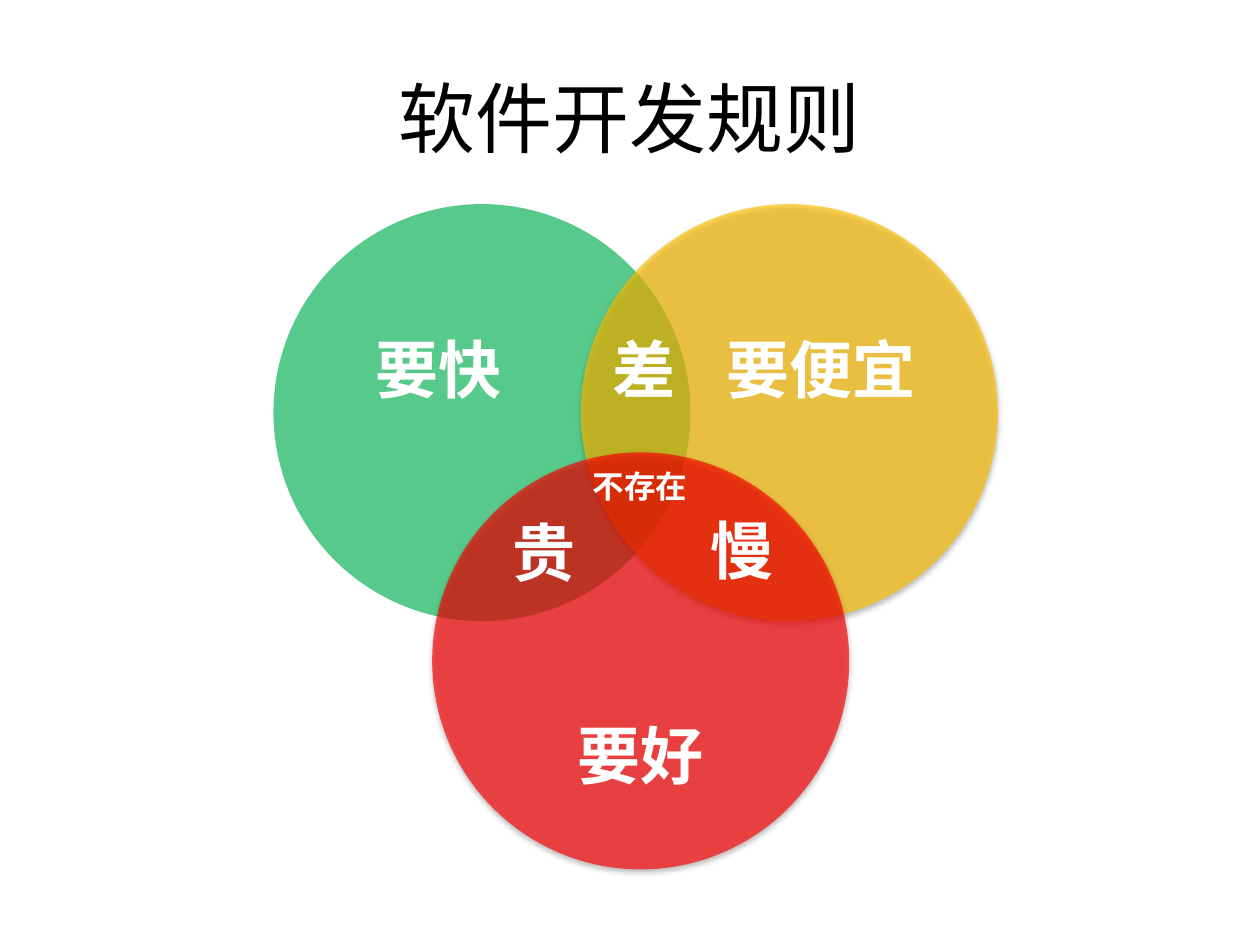
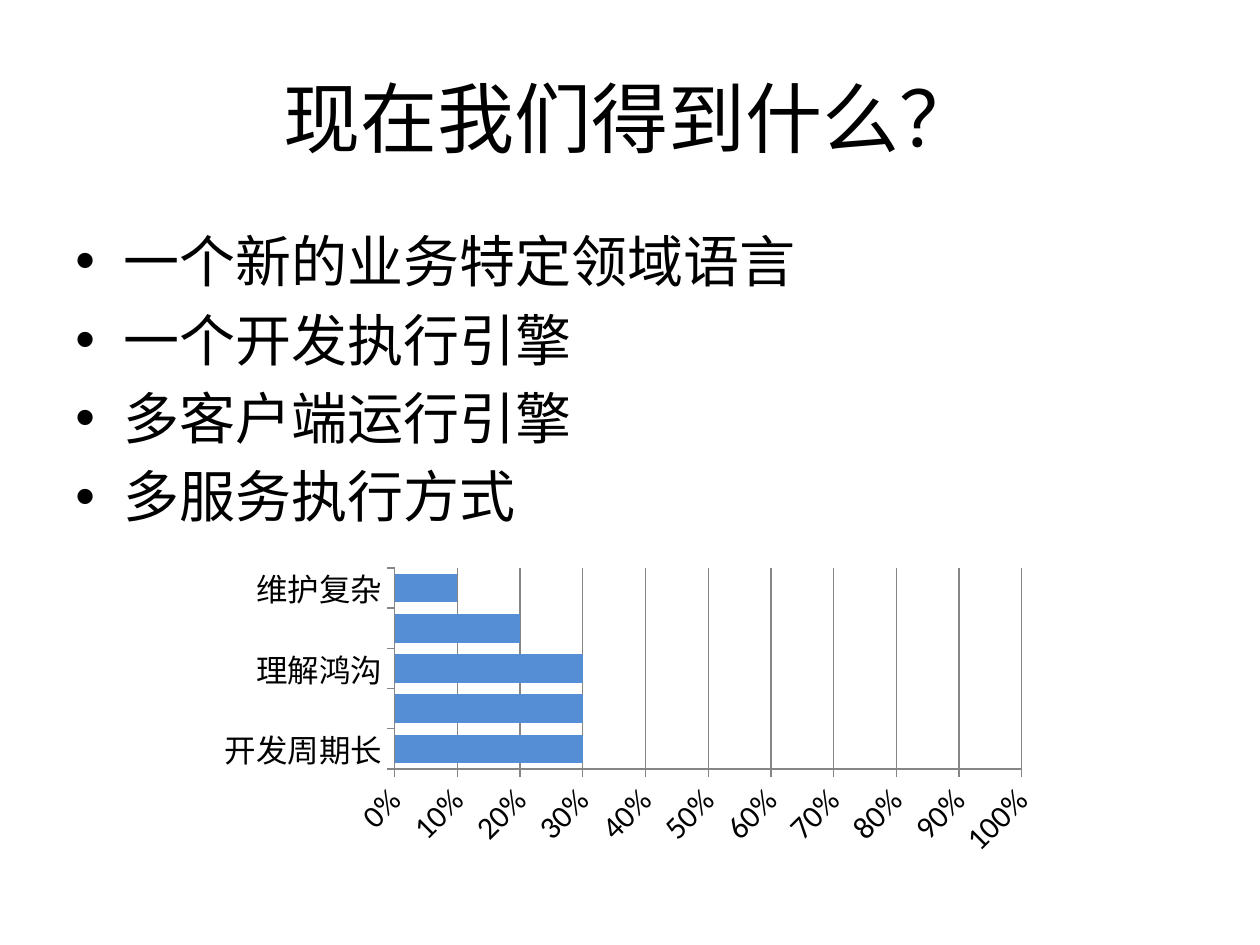
"""Build two slides: the software development rule and what has been gained."""
import dataclasses
import typing

import lxml.etree
import pptx
import pptx.chart.data
import pptx.dml.color
import pptx.enum.chart
import pptx.enum.lang
import pptx.enum.shapes
import pptx.enum.text
import pptx.oxml
import pptx.oxml.ns
import pptx.util

PX = 9144
ALIGN = pptx.enum.text.PP_ALIGN
ANCHOR = pptx.enum.text.MSO_ANCHOR


@dataclasses.dataclass(frozen=True)
class Theme:
    text: str = "000000"
    light: str = "FFFFFF"
    fast: str = "00B050"
    cheap: str = "FFC000"
    good: str = "FF0000"
    bar: str = "558ED5"
    grid: str = "868686"
    opacity: int = 66
    main_font: str = "Calibri"
    label_font: str = "Arial"
    title_pt: int = 44
    label_pt: int = 36
    body_pt: int = 32
    small_pt: int = 18


class Box(typing.NamedTuple):
    left: int
    top: int
    width: int
    height: int


class Label(typing.NamedTuple):
    text: str
    box: Box
    size: int


class Bar(typing.NamedTuple):
    label: str
    percent: int


@dataclasses.dataclass(frozen=True)
class Circle:
    left: int
    top: int
    color: str
    label: Label
    shadow: bool = True


THEME = Theme()
DIAMETER = 331
TITLE_BOX = Box(50, 30, 900, 125)
BODY_BOX = Box(50, 175, 900, 495)
CHART_BOX = Box(165, 446, 670, 240)
BULLET_INDENT = 38

CIRCLES = [
    Circle(217, 162, THEME.fast, Label("要快", Box(283, 257, 130, 71), THEME.label_pt), shadow=False),
    Circle(461, 162, THEME.cheap, Label("要便宜", Box(560, 257, 184, 71), THEME.label_pt)),
    Circle(343, 359, THEME.good, Label("要好", Box(416, 564, 184, 71), THEME.label_pt)),
]
OVERLAPS = [
    Label("贵", Box(382, 403, 100, 71), THEME.label_pt),
    Label("慢", Box(539, 401, 100, 71), THEME.label_pt),
    Label("差", Box(461, 257, 100, 71), THEME.label_pt),
    Label("不存在", Box(458, 366, 100, 40), THEME.small_pt),
]
GAINS = ["一个新的业务特定领域语言", "一个开发执行引擎", "多客户端运行引擎", "多服务执行方式"]
PAIN_LEFT = [Bar("开发周期长", 30), Bar("", 30), Bar("理解鸿沟", 30), Bar("", 20), Bar("维护复杂", 10)]


def emu(box: Box) -> list[int]:
    """Turn a box in px into EMU lengths."""
    return [v * PX for v in box]


def rgb(color: str) -> pptx.dml.color.RGBColor:
    """Return a colour from its hex digits."""
    return pptx.dml.color.RGBColor.from_string(color)


def sub(parent: typing.Any, tag: str, **attrs: typing.Any) -> typing.Any:
    """Append an XML child with attributes."""
    return lxml.etree.SubElement(parent, pptx.oxml.ns.qn(tag), {k: str(v) for k, v in attrs.items()})


def add_bullet(p: typing.Any) -> None:
    """Give a paragraph a round bullet with a hanging indent."""
    pPr = p._p.get_or_add_pPr()
    pPr.set("marL", str(BULLET_INDENT * PX))
    pPr.set("indent", str(-BULLET_INDENT * PX))
    sub(pPr, "a:buFont", typeface=THEME.label_font)
    sub(pPr, "a:buChar", char="•")


def add_text(shapes: typing.Any, box: Box, *lines: str, size: int, font: str = THEME.main_font,
             color: str = THEME.text, bold: bool = False, align: ALIGN = ALIGN.LEFT,
             anchor: ANCHOR = ANCHOR.TOP, bullet: bool = False, grow: bool = False) -> None:
    """Add a wrapped text box with one paragraph for each line."""
    tf = shapes.add_textbox(*emu(box)).text_frame
    tf.word_wrap = True
    tf.vertical_anchor = anchor
    if grow:
        tf.auto_size = pptx.enum.text.MSO_AUTO_SIZE.SHAPE_TO_FIT_TEXT
    for i, line in enumerate(lines):
        p = tf.add_paragraph() if i else tf.paragraphs[0]
        p.alignment = align
        if bullet:
            p.space_before = pptx.util.Pt(size * 0.2)
            add_bullet(p)
        r = p.add_run()
        r.text = line
        r.font.name = font
        r.font.size = pptx.util.Pt(size)
        r.font.bold = bold
        r.font.color.rgb = rgb(color)
        r.font.language_id = pptx.enum.lang.MSO_LANGUAGE_ID.SIMPLIFIED_CHINESE


def add_label(shapes: typing.Any, label: Label) -> None:
    """Add a bold white label of the diagram."""
    add_text(shapes, label.box, label.text, size=label.size, font=THEME.label_font,
             color=THEME.light, bold=True, align=ALIGN.CENTER, grow=True)


def add_circle(shapes: typing.Any, circle: Circle) -> None:
    """Add a translucent circle grouped with its label."""
    group = shapes.add_group_shape().shapes
    sp = group.add_shape(pptx.enum.shapes.MSO_SHAPE.OVAL,
                         *emu(Box(circle.left, circle.top, DIAMETER, DIAMETER)))
    sp.fill.solid()
    sp.fill.fore_color.rgb = rgb(circle.color)
    spPr = sp._element.spPr
    sub(spPr.find(".//" + pptx.oxml.ns.qn("a:srgbClr")), "a:alpha", val=THEME.opacity * 1000)
    sp.line.fill.background()
    sp.shadow.inherit = False
    if circle.shadow:
        effects = spPr.find(pptx.oxml.ns.qn("a:effectLst"))
        shadow = sub(effects, "a:outerShdw", blurRad=pptx.util.Pt(3.1), dist=pptx.util.Pt(1.6),
                     dir=90 * 60000, rotWithShape=0)
        sub(sub(shadow, "a:srgbClr", val=THEME.text), "a:alpha", val=38000)
    add_label(group, circle.label)


def add_chart(shapes: typing.Any, box: Box, bars: list[Bar]) -> None:
    """Add percentage bars whose remainder up to 100 stays unfilled."""
    data = pptx.chart.data.CategoryChartData()
    data.categories = [bar.label for bar in bars]
    data.add_series("Series 1", [bar.percent for bar in bars])
    data.add_series("Series 2", [100 - bar.percent for bar in bars])
    chart = shapes.add_chart(pptx.enum.chart.XL_CHART_TYPE.BAR_STACKED_100, *emu(box), data).chart
    chart.has_legend = False
    chart.has_title = False
    chart.font.name = THEME.main_font
    chart.font.size = pptx.util.Pt(THEME.small_pt)
    chart.font.color.rgb = rgb(THEME.text)

    plot = chart.plots[0]
    plot.gap_width = 40
    plot.overlap = 100
    plot.vary_by_categories = False
    shown, rest = plot.series
    shown.format.fill.solid()
    shown.format.fill.fore_color.rgb = rgb(THEME.bar)
    rest.format.fill.background()

    axis = chart.value_axis
    axis.minimum_scale, axis.maximum_scale, axis.major_unit = 0, 1, 0.1
    axis.has_major_gridlines = True
    axis.tick_labels.number_format = "0%"
    axis.tick_labels.number_format_is_linked = False
    for line in (axis.format.line, axis.major_gridlines.format.line, chart.category_axis.format.line):
        line.color.rgb = rgb(THEME.grid)
        line.width = pptx.util.Pt(0.75)
    for ax in (axis, chart.category_axis):
        ax.major_tick_mark = pptx.enum.chart.XL_TICK_MARK.OUTSIDE
        ax.minor_tick_mark = pptx.enum.chart.XL_TICK_MARK.NONE


def add_slide(prs: typing.Any, title: str) -> typing.Any:
    """Add a blank slide with a centred title and return its shapes."""
    shapes = prs.slides.add_slide(prs.slide_layouts[6]).shapes
    add_text(shapes, TITLE_BOX, title, size=THEME.title_pt, align=ALIGN.CENTER, anchor=ANCHOR.MIDDLE)
    return shapes


def main() -> None:
    """Build both slides and save the presentation."""
    prs = pptx.Presentation()
    prs.slide_width, prs.slide_height = 1000 * PX, 750 * PX

    shapes = add_slide(prs, "软件开发规则")
    for circle in CIRCLES:
        add_circle(shapes, circle)
    for label in OVERLAPS:
        add_label(shapes, label)

    shapes = add_slide(prs, "现在我们得到什么？")
    add_text(shapes, BODY_BOX, *GAINS, size=THEME.body_pt, bullet=True)
    add_chart(shapes, CHART_BOX, PAIN_LEFT)

    prs.save("out.pptx")


if __name__ == "__main__":
    main()
